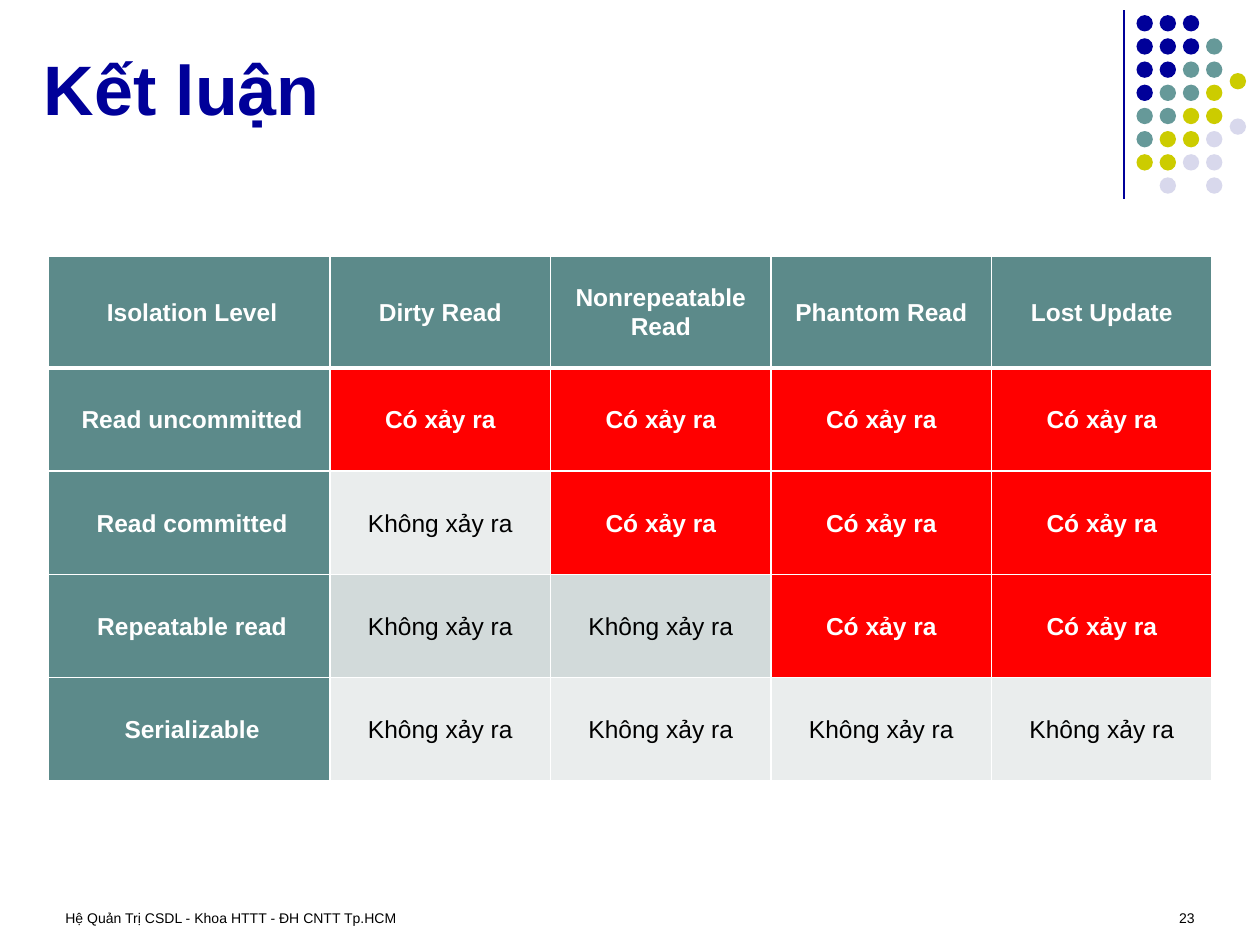
from lxml.etree import SubElement
from pptx import Presentation
from pptx.dml.color import RGBColor
from pptx.enum.shapes import MSO_CONNECTOR, MSO_SHAPE
from pptx.enum.text import MSO_ANCHOR, PP_ALIGN
from pptx.oxml.ns import qn
from pptx.util import Inches, Pt

NAVY, TEAL, OLIVE, LILAC = "000099", "669999", "CCCC00", "D8D8EC"
WHITE, BLACK, RED, HEADER = "FFFFFF", "000000", "FF0000", "5C8A8A"
BANDS = ["D2DADA", "EAEDED"]

DOT_COLORS = {"N": NAVY, "T": TEAL, "O": OLIVE, "L": LILAC}
DOT_ROWS = ["NNN ", "NNNT", "NNTT", "NTTO", "TTOO", "TOOL", "OOLL", " L L"]

ANOMALIES = ["Dirty Read", "Nonrepeatable Read", "Phantom Read", "Lost Update"]
# Isolation level and how many of the anomalies, from the left, it prevents
LEVELS = [("Read uncommitted", 0), ("Read committed", 1),
          ("Repeatable read", 2), ("Serializable", 4)]


def rgb(color):
    return RGBColor.from_string(color)


def write(tf, text, size=14, color=BLACK, bold=False, align=PP_ALIGN.LEFT, spacing=None):
    p = tf.paragraphs[0]
    p.alignment = align
    if spacing:
        p.line_spacing = spacing
    r = p.add_run()
    r.text = text
    r.font.name = "Arial"
    r.font.size = Pt(size)
    r.font.bold = bold
    r.font.color.rgb = rgb(color)
    return p


def add_text(s, x, y, w, h, text, anchor=MSO_ANCHOR.TOP, **style):
    tf = s.shapes.add_textbox(Inches(x), Inches(y), Inches(w), Inches(h)).text_frame
    tf.word_wrap = True
    tf.vertical_anchor = anchor
    write(tf, text, **style)


def add_dot(s, x, y, color):
    sp = s.shapes.add_shape(MSO_SHAPE.OVAL, Inches(x), Inches(y), Inches(0.13), Inches(0.13))
    sp.shadow.inherit = False
    sp.fill.solid()
    sp.fill.fore_color.rgb = rgb(color)
    sp.line.fill.background()


def add_dot_pattern(s):
    pitch = 0.184
    add_dot(s, 9.76, 0.58, OLIVE)
    add_dot(s, 9.76, 0.94, LILAC)
    for i, row in enumerate(DOT_ROWS):
        for j, key in enumerate(row):
            if key in DOT_COLORS:
                add_dot(s, 9.02 + j * pitch, 0.12 + i * pitch, DOT_COLORS[key])
    line = s.shapes.add_connector(MSO_CONNECTOR.STRAIGHT, Inches(8.92), Inches(0.08),
                                  Inches(8.92), Inches(1.58))
    line.line.color.rgb = rgb(NAVY)
    line.line.width = Pt(1)
    SubElement(line._element.spPr, qn("a:effectLst"))


def set_borders(cell, **widths):
    """Draw white borders, 1 pt unless a side (L, R, T, B) has its own width."""
    tcPr = cell._tc.get_or_add_tcPr()
    for side in "LRTB":
        ln = SubElement(tcPr, qn(f"a:ln{side}"), w=str(Pt(widths.get(side, 1))))
        SubElement(SubElement(ln, qn("a:solidFill")), qn("a:srgbClr"), val=WHITE)


def fill_cell(cell, text, fill, color=WHITE, bold=True, indent=0, **borders):
    set_borders(cell, **borders)
    cell.fill.solid()
    cell.fill.fore_color.rgb = rgb(fill)
    cell.vertical_anchor = MSO_ANCHOR.MIDDLE
    cell.margin_left = cell.margin_right = Inches(0.07)
    cell.margin_top = cell.margin_bottom = 0
    p = write(cell.text_frame, text, color=color, bold=bold,
              align=PP_ALIGN.CENTER, spacing=1.07)
    if indent:
        p._p.get_or_add_pPr().set("marL", str(Inches(indent)))


def add_isolation_table(s):
    table = s.shapes.add_table(len(LEVELS) + 1, len(ANOMALIES) + 1, Inches(0.38),
                               Inches(2.03), Inches(9.24), Inches(4.17)).table
    for j, col in enumerate(table.columns):
        col.width = Inches(1.75 if j else 2.24)
    for i, row in enumerate(table.rows):
        row.height = Inches(0.82 if i else 0.89)

    for j, title in enumerate(["Isolation Level"] + ANOMALIES):
        fill_cell(table.cell(0, j), title, HEADER, indent=0 if j else 0.05, B=3)
    for i, (level, prevented) in enumerate(LEVELS, 1):
        top = 3 if i == 1 else 1
        fill_cell(table.cell(i, 0), level, HEADER, indent=0.05, T=top)
        for j in range(1, len(ANOMALIES) + 1):
            cell = table.cell(i, j)
            if j > prevented:
                fill_cell(cell, "Có xảy ra", RED, T=top)
            else:
                fill_cell(cell, "Không xảy ra", BANDS[(i + 1) % 2], BLACK, False, T=top)


def main():
    prs = Presentation()
    prs.slide_width, prs.slide_height = Inches(10), Inches(7.5)
    s = prs.slides.add_slide(prs.slide_layouts[6])
    add_dot_pattern(s)
    add_text(s, 0.42, 7.17, 6.42, 0.33, "Hệ Quản Trị CSDL - Khoa HTTT - ĐH CNTT Tp.HCM", size=8)
    add_text(s, 7.25, 7.17, 2.33, 0.33, "23", size=8, align=PP_ALIGN.RIGHT)
    add_text(s, 0.25, 0.13, 8.58, 0.95, "Kết luận", anchor=MSO_ANCHOR.BOTTOM,
             size=40, color=NAVY, bold=True)
    add_isolation_table(s)
    prs.save("out.pptx")


if __name__ == "__main__":
    main()
